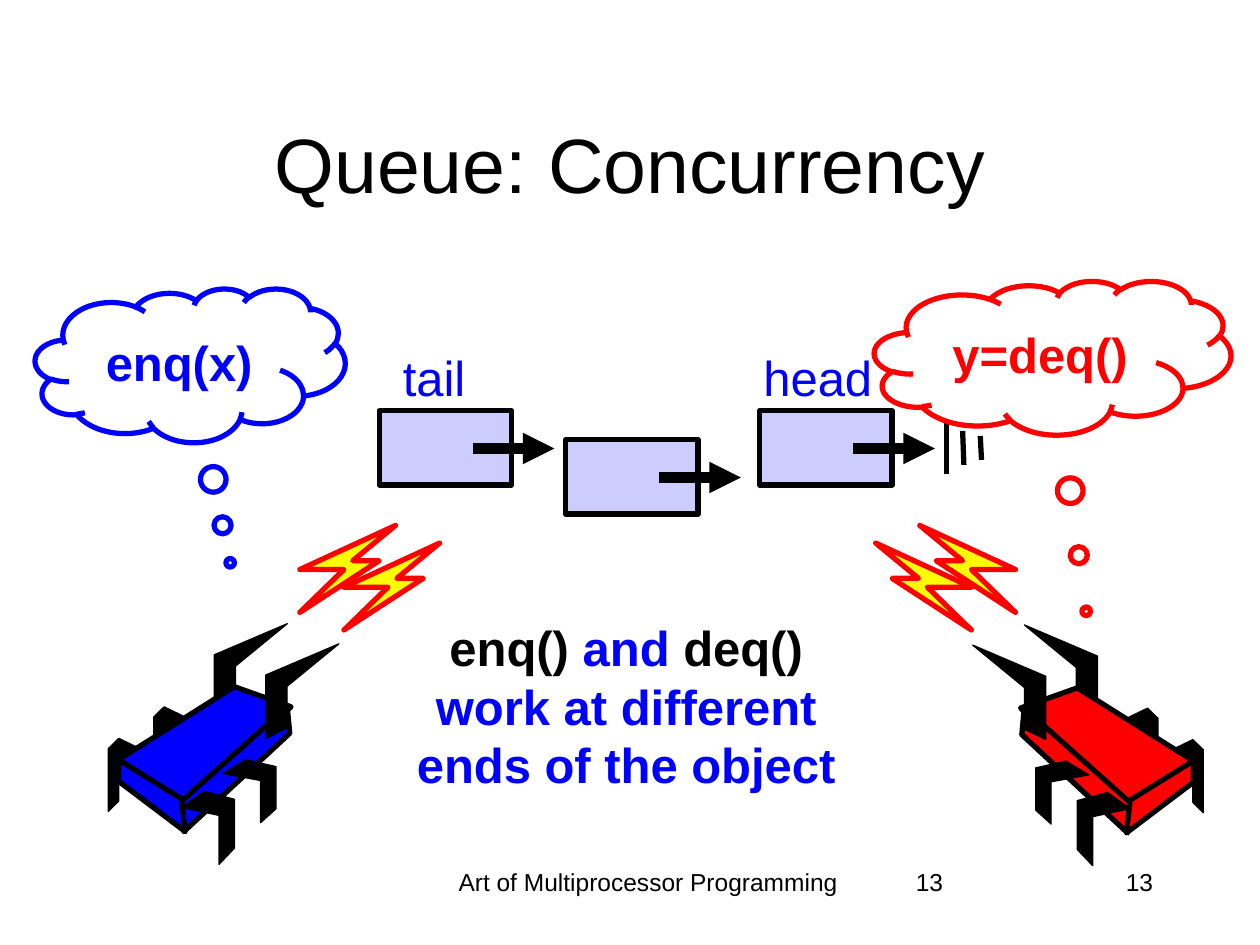
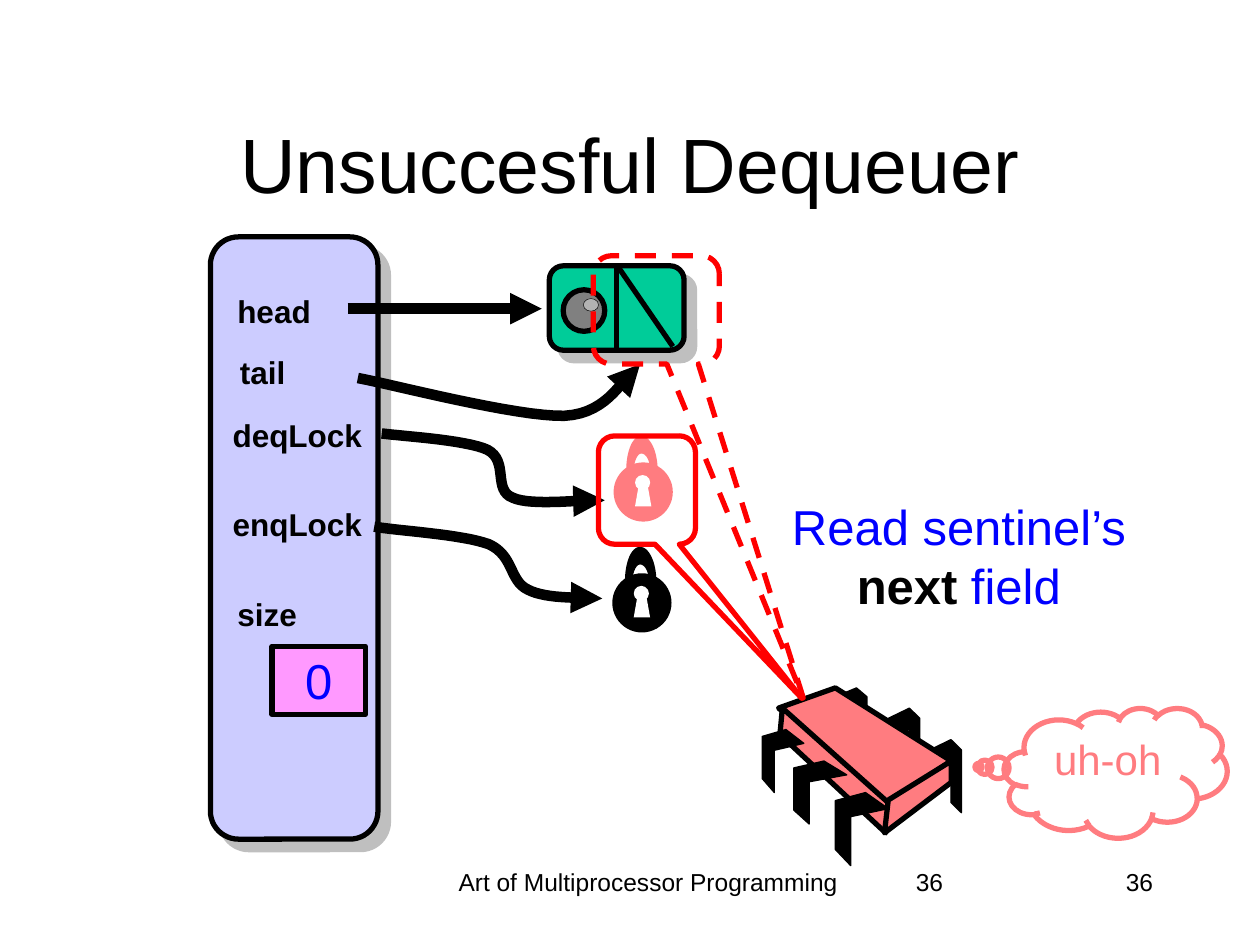
from lxml.etree import SubElement
from pptx import Presentation
from pptx.dml.color import RGBColor
from pptx.enum.dml import MSO_LINE
from pptx.enum.shapes import MSO_CONNECTOR, MSO_SHAPE as Kind
from pptx.enum.text import MSO_ANCHOR as Anchor, PP_ALIGN as Align
from pptx.oxml.ns import qn
from pptx.util import Cm, Pt

FONT = "Arial"
BLACK, WHITE, BLUE, RED, PINK = "000000", "FFFFFF", "0000FF", "FF0000", "FF7C80"
LAVENDER, YELLOW, GREEN, MAGENTA = "CCCCFF", "FFFF00", "00CC99", "FF99FF"
GRAY, SILVER = "808080", "B2B2B2"
FOOTER = "Art of Multiprocessor Programming"

# Robot limbs, as fractions of their own frame
ARM = [(1, 1), (.71, .89), (.71, .45), (0, 0), (1, .33)]
FAR_LEG = [(0, .14), (.67, 0), (1, .14), (1, 1), (.67, .86), (.67, .29), (0, .43)]
NEAR_LEG = [(.57, 0), (1, .22), (.29, .33), (.29, 1), (0, .78), (0, .11)]
# Robot body faces, in inches from the body's corner
BODY = [
    [(.45, 0), (1.37, .58), (.85, .93), (0, .16)],
    [(.03, .16), (.87, .91), (.85, 1.15), (.01, .37)],
    [(1.37, .58), (1.37, .75), (.84, 1.15), (.87, .89)],
]
# Limbs behind and in front of the body: outline, left, top, width, height
CALLER_LIMBS = (
    [(ARM, .03, -.5, .58, .75), (FAR_LEG, 1.2, .41, .25, .58),
     (FAR_LEG, .84, .16, .25, .58)],
    [(NEAR_LEG, .45, .83, .42, .58), (NEAR_LEG, .12, .58, .42, .5),
     (ARM, -.38, -.34, .58, .75)],
)
WALKER_LIMBS = (
    [(FAR_LEG, 1.2, .41, .25, .58), (FAR_LEG, .87, .16, .25, .58),
     (FAR_LEG, .45, 0, .25, .5)],
    [(NEAR_LEG, .45, .83, .42, .58), (NEAR_LEG, .12, .58, .42, .5),
     (NEAR_LEG, -.13, .33, .33, .5)],
)
BOLT = [(0, .69), (.35, .35), (0, .35), (.76, 0), (.42, .28), (.63, .28)]

# Concurrency slide
ROBOTS = [(2.31, 5.45, -1, BLUE), (8.1, 5.46, 1, RED)]
BOLT_PAIRS = [(2.38, 4.17, 1), (8.06, 4.17, -1)]
QUEUE_NODES = [(6.03, 3.26), (4.49, 3.49), (3.01, 3.26)]
GROUND_LINES = [(7.51, 3.36, 7.51, 3.76), (7.64, 3.42, 7.65, 3.69),
                (7.78, 3.46, 7.79, 3.65)]
CALLS = [("enq(x)", BLUE, (.28, 2.29, 2.46, 1.22), (.129, 1.284)),
         ("y=deq()", RED, (6.94, 2.23, 2.83, 1.22), (.094, 1.649))]
QUEUE_ENDS = [("tail", (3.09, 2.71, .71, .57)), ("head", (5.95, 2.71, 1.08, .57))]
ENDS_NOTE = [("enq()", BLACK, True), (" and ", BLUE, True), ("deq()", BLACK, True),
             (" work at different ends of the object", BLUE, True)]

# Dequeuer slide
FIELDS = [("head", (1.78, 2.27, .79, .4)), ("tail", (1.8, 2.75, .57, .4)),
          ("deqLock", (1.74, 3.25, 1.24, .4)), ("enqLock", (1.74, 3.96, 1.24, .4)),
          ("size", (1.78, 4.67, .68, .4))]
DEQ_ARROW = [(3.03, 3.44), (3.17, 3.46, 3.7, 3.49, 3.87, 3.57),
             (4.04, 3.66, 3.91, 3.89, 4.07, 3.95), (4.22, 4.02, 4.65, 3.96, 4.8, 3.97)]
ENQ_ARROW = [(2.97, 4.18), (3.12, 4.21, 3.67, 4.24, 3.88, 4.32),
             (4.08, 4.41, 4.04, 4.61, 4.19, 4.68), (4.34, 4.76, 4.65, 4.74, 4.78, 4.75)]
TAIL_ARROW = [(2.84, 3), (3.11, 3.05, 4.1, 3.31, 4.48, 3.3),
              (4.85, 3.28, 4.95, 2.97, 5.08, 2.89)]
LOCKS = [(4.87, 3.67, PINK), (4.86, 4.55, BLACK)]
KEY_SLOT = [(.17, .35), (.2, .18), (.27, .18), (.3, .35)]
SHACKLE = [(.16, .07), (.16, -.01, .19, -.07, .22, -.07),
           (.26, -.07, .29, -.01, .29, .07), (.35, .07),
           (.35, -.09, .29, -.21, .22, -.21), (.15, -.21, .1, -.09, .1, .07)]
SENTINEL_NOTE = [("Read sentinel’s ", BLUE, False), ("next", BLACK, True),
                 (" field", BLUE, False)]


def lengths(*inches):
    return [Cm(2.54 * value) for value in inches]


def color(hex_code):
    return RGBColor.from_string(hex_code)


def write(frame, runs, size, align=Align.CENTER, **frame_format):
    """Fill a text frame with one paragraph of (text, colour, bold) runs."""
    for name, value in {"word_wrap": True, **frame_format}.items():
        setattr(frame, name, value)
    para = frame.paragraphs[0]
    para.alignment = align
    for text, hex_code, bold in runs:
        span = para.add_run()
        span.text = text
        for name, value in {"name": FONT, "size": Pt(size), "bold": bold}.items():
            setattr(span.font, name, value)
        span.font.color.rgb = color(hex_code)


def add_text(page, place, runs, size, **text_format):
    box = page.shapes.add_textbox(*lengths(*place))
    write(box.text_frame, runs, size, **text_format)


def paint(shape, fill=None, line=None, width=3):
    shape.shadow.inherit = False
    for part, hex_code in ((shape.fill, fill), (shape.line.fill, line)):
        if hex_code:
            part.solid()
            part.fore_color.rgb = color(hex_code)
        else:
            part.background()
    if line:
        shape.line.width = Pt(width)
    return shape


def add_shape(page, kind, place, adjust=(), flip=False, **look):
    shape = paint(page.shapes.add_shape(kind, *lengths(*place)), **look)
    for index, value in enumerate(adjust):
        shape.adjustments[index] = value
    if flip:
        shape.element.spPr.xfrm.set("flipH", "1")
    return shape


def drop_shadow(shape):
    effects = shape.element.spPr.find(qn("a:effectLst"))
    shadow = SubElement(effects, qn("a:outerShdw"), blurRad="0", dist=str(Pt(8.5)),
                        dir="2700000", algn="ctr", rotWithShape="0")
    tint = SubElement(shadow, qn("a:srgbClr"), val=GRAY)
    SubElement(tint, qn("a:alpha"), val="50000")


def add_arrowhead(shape):
    SubElement(shape.element.spPr.find(qn("a:ln")), qn("a:tailEnd"), type="triangle")


def add_line(page, ends, width=3, arrow=False):
    line = page.shapes.add_connector(MSO_CONNECTOR.STRAIGHT, *lengths(*ends))
    line.line.color.rgb = color(BLACK)
    line.line.width = Pt(width)
    SubElement(line.element.spPr, qn("a:effectLst"))
    if arrow:
        add_arrowhead(line)
    return line


def trace(steps, pieces=16):
    """Turn points and cubic steps (two controls and an end) into points."""
    points = []
    for step in steps:
        if len(step) == 2:
            points.append(step)
            continue
        corners = [points[-1], step[:2], step[2:4], step[4:]]
        for piece in range(1, pieces + 1):
            t = piece / pieces
            weights = ((1 - t) ** 3, 3 * t * (1 - t) ** 2, 3 * t * t * (1 - t), t ** 3)
            points.append(tuple(sum(w * corner[axis] for w, corner in zip(weights, corners))
                                for axis in (0, 1)))
    return points


def add_outline(page, steps, origin=(0, 0), side=1, close=True, **look):
    """Draw steps measured from origin; side -1 mirrors them left to right."""
    points = [lengths(origin[0] + side * x, origin[1] + y) for x, y in trace(steps)]
    builder = page.shapes.build_freeform(*points[0])
    builder.add_line_segments(points[1:], close=close)
    return paint(builder.convert_to_shape(), **look)


def add_curved_arrow(page, steps):
    add_arrowhead(add_outline(page, steps, close=False, line=BLACK, width=6))


def add_robot(page, left, top, side, hex_code, limbs):
    def add_limbs(group):
        for outline, x, y, width, height in group:
            add_outline(page, [(x + width * u, y + height * v) for u, v in outline],
                        (left, top), side, fill=BLACK, line=BLACK, width=.75)

    behind, in_front = limbs
    add_limbs(behind)
    for face in BODY:
        add_outline(page, face, (left, top), side, fill=hex_code, line=BLACK)
    add_limbs(in_front)


def add_lock(page, left, top, hex_code):
    add_shape(page, Kind.OVAL, (left, top, .47, .47), fill=hex_code)
    add_shape(page, Kind.OVAL, (left + .17, top + .1, .12, .12), fill=WHITE)
    add_outline(page, KEY_SLOT, (left, top), fill=WHITE)
    add_outline(page, SHACKLE, (left, top), fill=hex_code)


def add_page(deck, title, number):
    page = deck.slides.add_slide(deck.slide_layouts[5])
    heading = page.shapes.title
    heading.left, heading.top, heading.width, heading.height = lengths(.75, .67, 8.5, 1.25)
    write(heading.text_frame, [(title, BLACK, False)], 44, vertical_anchor=Anchor.MIDDLE)
    for text, left, width, align in ((FOOTER, 3.42, 3.45, Align.CENTER),
                                     (number, 7.17, 2.08, Align.LEFT),
                                     (number, 7.17, 2.08, Align.RIGHT)):
        add_text(page, (left, 6.83, width, .5), [(text, BLACK, False)], 14, align=align)
    return page


def build_concurrency(deck):
    page = add_page(deck, "Queue: Concurrency", "13")
    for robot in ROBOTS:
        add_robot(page, *robot, CALLER_LIMBS)
    for ends in GROUND_LINES:
        add_line(page, ends)
    for left, top in QUEUE_NODES:
        add_shape(page, Kind.RECTANGLE, (left, top, 1.05, .59), fill=LAVENDER, line=BLACK)
        add_line(page, (left + .74, top + .3, left + 1.39, top + .3), 6, arrow=True)
    for text, hex_code, place, pointer in CALLS:
        cloud = add_shape(page, Kind.CLOUD_CALLOUT, place, pointer, line=hex_code)
        write(cloud.text_frame, [(text, hex_code, True)], 28, vertical_anchor=Anchor.MIDDLE)
    add_text(page, (3.04, 4.85, 3.86, 1.5), ENDS_NOTE, 28)
    for left, top, side in BOLT_PAIRS:
        for shift, drop in ((0, 0), (.35, .14)):
            add_outline(page, BOLT, (left + side * shift, top + drop), side,
                        fill=YELLOW, line=RED)
    for text, place in QUEUE_ENDS:
        add_text(page, place, [(text, BLUE, False)], 28, word_wrap=False)


def build_dequeuer(deck):
    page = add_page(deck, "Unsuccesful Dequeuer", "36")
    drop_shadow(add_shape(page, Kind.ROUNDED_RECTANGLE, (1.67, 1.88, 1.33, 4.78), [.167],
                          fill=LAVENDER, line=BLACK))
    for text, place in FIELDS:
        add_text(page, place, [(text, BLACK, True)], 18, word_wrap=False)
    for steps in (DEQ_ARROW, ENQ_ARROW):
        add_curved_arrow(page, steps)
    size_box = add_shape(page, Kind.RECTANGLE, (2.16, 5.13, .74, .54),
                         fill=MAGENTA, line=BLACK)
    write(size_box.text_frame, [("0", BLUE, False)], 28, word_wrap=False,
          vertical_anchor=Anchor.MIDDLE)

    add_robot(page, 6.18, 5.46, 1, PINK, WALKER_LIMBS)
    add_text(page, (5.76, 3.89, 3.7, 1.03), SENTINEL_NOTE, 28)
    cloud = add_shape(page, Kind.CLOUD_CALLOUT, (7.97, 5.62, 1.77, 1.03),
                      (-.615, -.046), line=PINK)
    write(cloud.text_frame, [("uh-oh", PINK, False)], 24, vertical_anchor=Anchor.TOP)
    for lock in LOCKS:
        add_lock(page, *lock)
    add_shape(page, Kind.ROUNDED_RECTANGULAR_CALLOUT, (4.75, 3.46, .77, .86),
              (-1.598, 1.923, .167), flip=True, line=RED)

    add_line(page, (2.76, 2.45, 4.3, 2.45), 6, arrow=True)
    sentinel = add_shape(page, Kind.ROUNDED_RECTANGLE, (4.36, 2.11, 1.07, .67), [.167],
                         fill=GREEN, line=BLACK)
    drop_shadow(sentinel)
    divider = add_line(page, (4.9, 2.11, 4.9, 2.78))
    divider.begin_connect(sentinel, 0)
    divider.end_connect(sentinel, 2)
    add_shape(page, Kind.OVAL, (4.47, 2.3, .33, .33), fill=GRAY, line=BLACK)
    add_shape(page, Kind.OVAL, (4.63, 2.37, .12, .1), fill=SILVER, line=BLACK, width=.25)
    add_curved_arrow(page, TAIL_ARROW)
    add_line(page, (4.9, 2.11, 5.34, 2.75))
    reading = add_shape(page, Kind.ROUNDED_RECTANGULAR_CALLOUT, (4.71, 2.03, 1, .86),
                        (-1.166, 3.581, .167), flip=True, line=RED)
    reading.line.dash_style = MSO_LINE.DASH


def main():
    deck = Presentation()
    deck.slide_width, deck.slide_height = lengths(10, 7.5)
    build_concurrency(deck)
    build_dequeuer(deck)
    deck.save("out.pptx")


if __name__ == "__main__":
    main()
